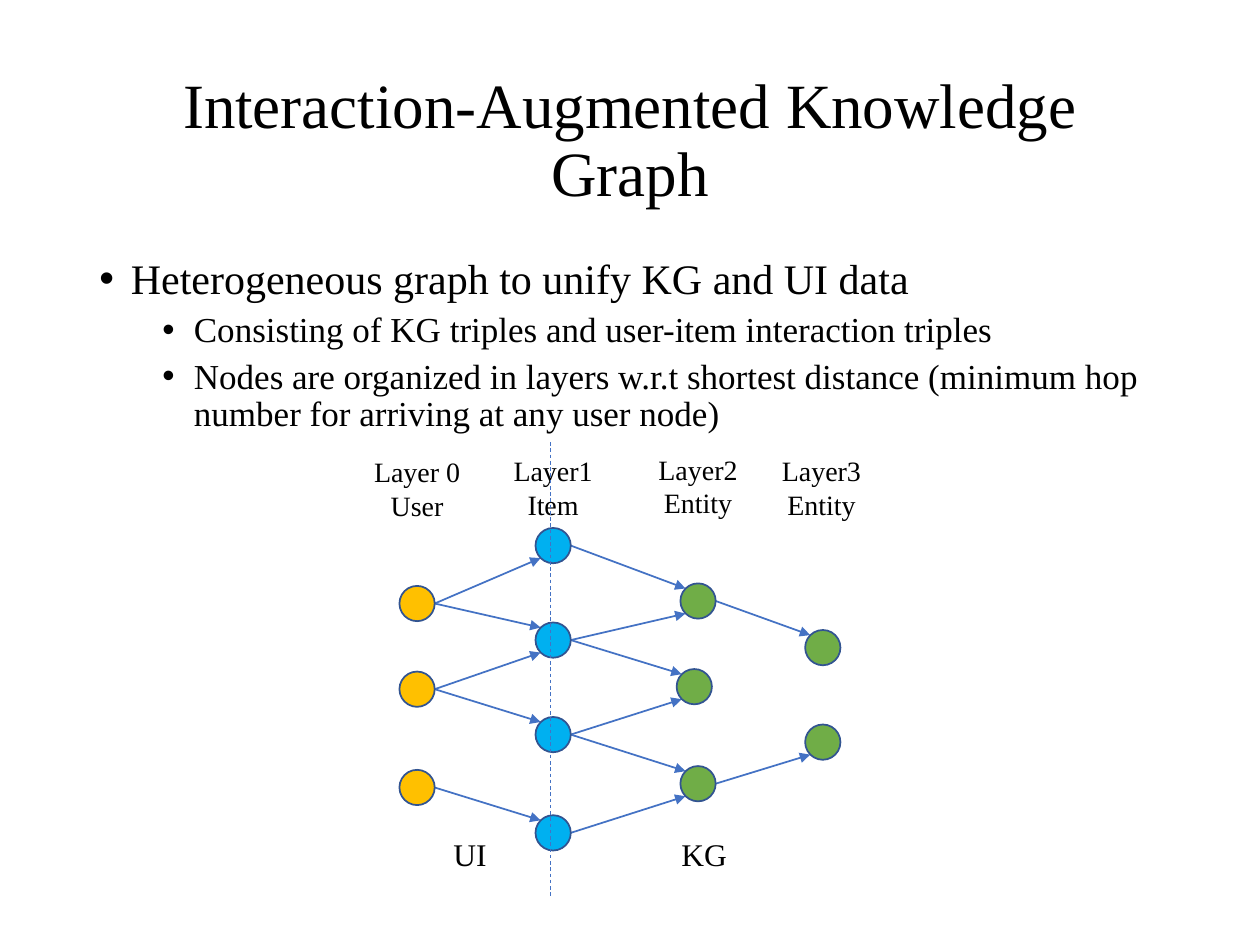
import pptx
import pptx.dml.color
import pptx.enum.dml
import pptx.enum.shapes
import pptx.enum.text
import pptx.oxml.ns
import pptx.util
from lxml import etree

COLORS = {
    "text": "000000",
    "edge": "4472C4",
    "outline": "325491",
    "user": "FFC000",
    "item": "00B0F0",
    "entity": "70AD47",
}
FONT = "Times New Roman"
COLUMNS, ROWS = 100, 75
CELL = pptx.util.Inches(0.1)
DIAMETER = 2.8
CENTER = pptx.enum.text.PP_ALIGN.CENTER
LEFT = pptx.enum.text.PP_ALIGN.LEFT

LAYERS = [
    ("user", ["Layer 0", "User"], 33.1, 35.6, [(33.1, 47.9), (33.1, 54.7), (33.1, 62.5)]),
    ("item", ["Layer1", "Item"], 43.9, 35.5,
     [(43.9, 43.3), (43.9, 50.8), (43.9, 58.3), (43.9, 66.1)]),
    ("entity", ["Layer2", "Entity"], 55.4, 35.4, [(55.4, 47.7), (55.1, 54.5), (55.4, 62.2)]),
    ("entity", ["Layer3", "Entity"], 65.2, 35.5, [(65.3, 51.4), (65.3, 58.9)]),
]
EDGES = [
    [(0, 0), (0, 1), (1, 1), (1, 2), (2, 3)],
    [(0, 0), (1, 0), (1, 1), (2, 1), (2, 2), (3, 2)],
    [(0, 0), (2, 1)],
]
BULLETS = [
    (0, 24, 10, "Heterogeneous graph to unify KG and UI data"),
    (1, 20, 5, "Consisting of KG triples and user-item interaction triples"),
    (1, 20, 5, "Nodes are organized in layers w.r.t shortest distance "
               "(minimum hop number for arriving at any user node)"),
]


def grid(*cells):
    return [round(cell * CELL) for cell in cells]


def color(name):
    return pptx.dml.color.RGBColor.from_string(COLORS[name])


def add_xml(parent, tag, **attributes):
    return etree.SubElement(parent, pptx.oxml.ns.qn(tag), attributes)


def style_para(para, text, size, align=LEFT):
    para.text = text
    para.alignment = align
    para.font.name = FONT
    para.font.size = pptx.util.Pt(size)
    para.font.color.rgb = color("text")


def add_text(page, place, lines, size, align=LEFT):
    box = page.shapes.add_textbox(*grid(*place))
    frame = box.text_frame
    frame.word_wrap = True
    for index, line in enumerate(lines):
        para = frame.add_paragraph() if index else frame.paragraphs[0]
        style_para(para, line, size, align)
    return frame


def add_title(page, text):
    frame = add_text(page, (6.9, 4, 86.2, 14.5), [text], 36, CENTER)
    frame.vertical_anchor = pptx.enum.text.MSO_ANCHOR.MIDDLE
    frame.paragraphs[0].line_spacing = 0.9


def add_bullets(page):
    frame = add_text(page, (6.9, 20, 86.2, 15.5), [text for *_, text in BULLETS], 20)
    for para, (level, size, space, _) in zip(frame.paragraphs, BULLETS):
        para.level = level
        para.font.size = pptx.util.Pt(size)
        para.line_spacing = 0.9
        para.space_before = pptx.util.Pt(space)
        properties = para._p.get_or_add_pPr()
        properties.set("marL", str(pptx.util.Inches(0.25 + 0.5 * level)))
        properties.set("indent", str(-pptx.util.Inches(0.25)))
        add_xml(properties, "a:buFont", typeface="Arial")
        add_xml(properties, "a:buChar", char="•")


def add_line(page, start, end, width):
    line = page.shapes.add_connector(
        pptx.enum.shapes.MSO_CONNECTOR.STRAIGHT, *grid(*start, *end))
    line.line.color.rgb = color("edge")
    line.line.width = pptx.util.Pt(width)
    add_xml(line._element.spPr, "a:effectLst")
    return line


def add_edge(page, source, target):
    radius = DIAMETER / 2
    corner = radius * 0.71
    rise = -corner if target[1] > source[1] else corner
    arrow = add_line(page, (source[0] + radius, source[1]),
                     (target[0] - corner, target[1] + rise), 1)
    add_xml(arrow.line._get_or_add_ln(), "a:tailEnd", type="triangle")


def add_node(page, center, fill):
    left, top = (position - DIAMETER / 2 for position in center)
    node = page.shapes.add_shape(
        pptx.enum.shapes.MSO_SHAPE.OVAL, *grid(left, top, DIAMETER, DIAMETER))
    node.shadow.inherit = False
    node.fill.solid()
    node.fill.fore_color.rgb = color(fill)
    node.line.color.rgb = color("outline")
    node.line.width = pptx.util.Pt(1)


def add_graph(page):
    nodes = [layer[-1] for layer in LAYERS]
    for sources, targets, pairs in zip(nodes, nodes[1:], EDGES):
        for source, target in pairs:
            add_edge(page, sources[source], targets[target])
    for fill, label, middle, top, centers in LAYERS:
        for center in centers:
            add_node(page, center, fill)
        add_text(page, (middle - 5.2, top, 10.4, 6.4), label, 16, CENTER)


def main():
    deck = pptx.Presentation()
    deck.slide_width, deck.slide_height = grid(COLUMNS, ROWS)
    page = deck.slides.add_slide(deck.slide_layouts[6])
    add_title(page, "Interaction-Augmented Knowledge Graph")
    add_bullets(page)
    add_graph(page)
    divider = add_line(page, (43.7, 35.1), (43.7, 71.2), 0.5)
    divider.line.dash_style = pptx.enum.dml.MSO_LINE.DASH
    for left, name in [(35, "UI"), (53.1, "KG")]:
        add_text(page, (left, 65.8, 6, 4), [name], 18)
    deck.save("out.pptx")


if __name__ == "__main__":
    main()
